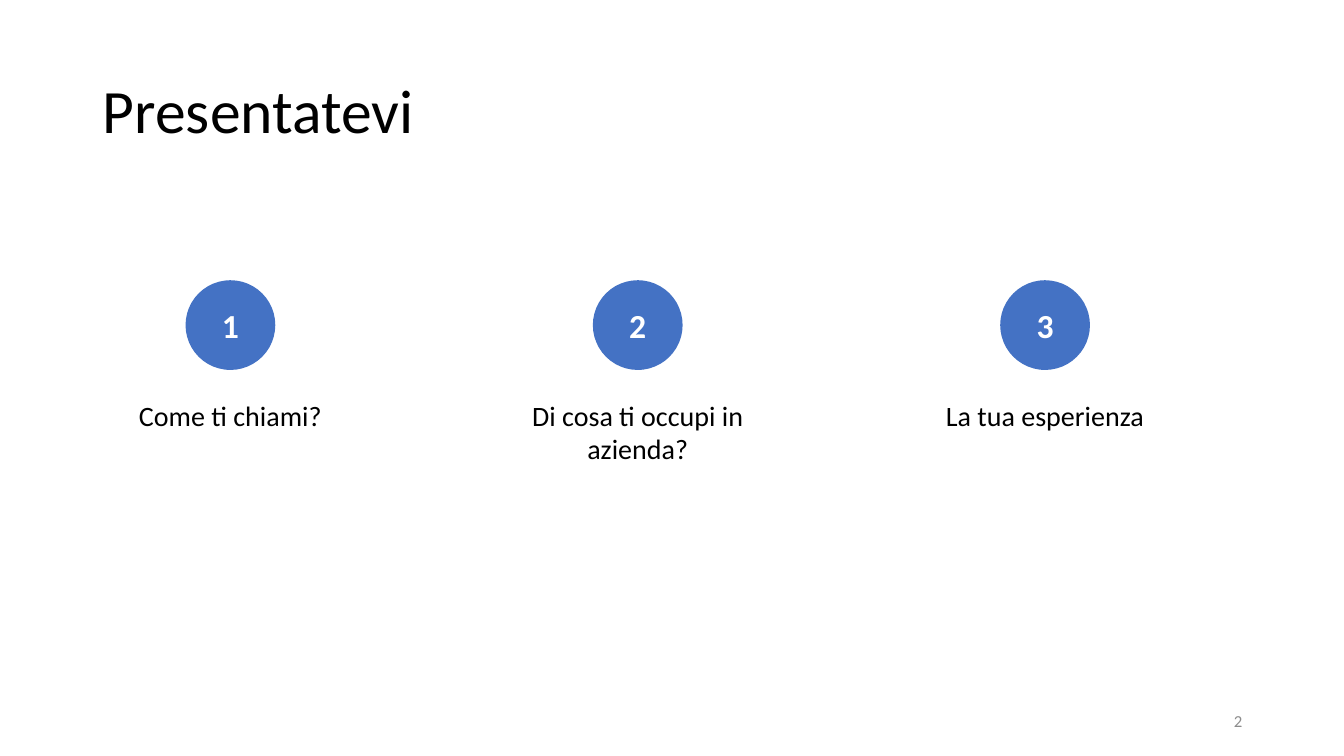
from pptx import Presentation
from pptx.dml.color import RGBColor
from pptx.enum import shapes, text
from pptx.util import Inches, Pt

THEME = {
    "font": "Calibri",
    "accent": RGBColor.from_string("4472C4"),
    "title": {"size": Pt(44), "color": "000000", "bold": False},
    "number": {"size": Pt(24), "color": "FFFFFF", "bold": True},
    "caption": {"size": Pt(20), "color": "000000", "bold": False},
    "page": {"size": Pt(12), "color": "8C8C8C", "bold": False},
}


def write(box, wording, style, anchor, paragraph_format):
    """Put one styled paragraph into a shape."""
    frame = box.text_frame
    frame.word_wrap = True
    frame.auto_size = text.MSO_AUTO_SIZE.NONE
    frame.vertical_anchor = anchor
    paragraph = frame.paragraphs[0]
    for key, value in paragraph_format.items():
        setattr(paragraph, key, value)
    run = paragraph.add_run()
    run.text = wording
    run.font.name = THEME["font"]
    run.font.size = THEME[style]["size"]
    run.font.bold = THEME[style]["bold"]
    run.font.color.rgb = RGBColor.from_string(THEME[style]["color"])


prs = Presentation()
prs.slide_width, prs.slide_height = Inches(13.33), Inches(7.5)
slide = prs.slides.add_slide(prs.slide_layouts[5])
middle, top = text.MSO_ANCHOR.MIDDLE, text.MSO_ANCHOR.TOP
left, center, right = text.PP_ALIGN.LEFT, text.PP_ALIGN.CENTER, text.PP_ALIGN.RIGHT

# Title
title = slide.shapes.title
title_place = {"left": 0.92, "top": 0.4, "width": 11.5, "height": 1.45}
for side, length in title_place.items():
    setattr(title, side, Inches(length))
write(title, "Presentatevi", "title", middle, {"alignment": left, "line_spacing": 0.9})

# Page number
page = slide.shapes.add_textbox(Inches(9.42), Inches(6.95), Inches(3), Inches(0.4))
write(page, "2", "page", middle, {"alignment": right})

# Numbered questions, evenly spaced, each with its caption centred below
questions = [
    ("Come ti chiami?", 2.2),
    ("Di cosa ti occupi in azienda?", 2.54),
    ("La tua esperienza", 3.23),
]
first_center, step, diameter = 2.285, 4.04, 0.89
for index, (question, caption_width) in enumerate(questions):
    column = first_center + index * step
    circle = slide.shapes.add_shape(
        shapes.MSO_SHAPE.OVAL, Inches(column - diameter / 2), Inches(2.78),
        Inches(diameter), Inches(diameter))
    circle.shadow.inherit = False
    circle.fill.solid()
    circle.fill.fore_color.rgb = THEME["accent"]
    circle.line.fill.background()
    write(circle, str(index + 1), "number", middle, {"alignment": center})

    caption = slide.shapes.add_textbox(
        Inches(column - caption_width / 2), Inches(3.9),
        Inches(caption_width), Inches(2.41))
    write(caption, question, "caption", top, {"alignment": center, "space_before": Pt(10)})

prs.save("out.pptx")
